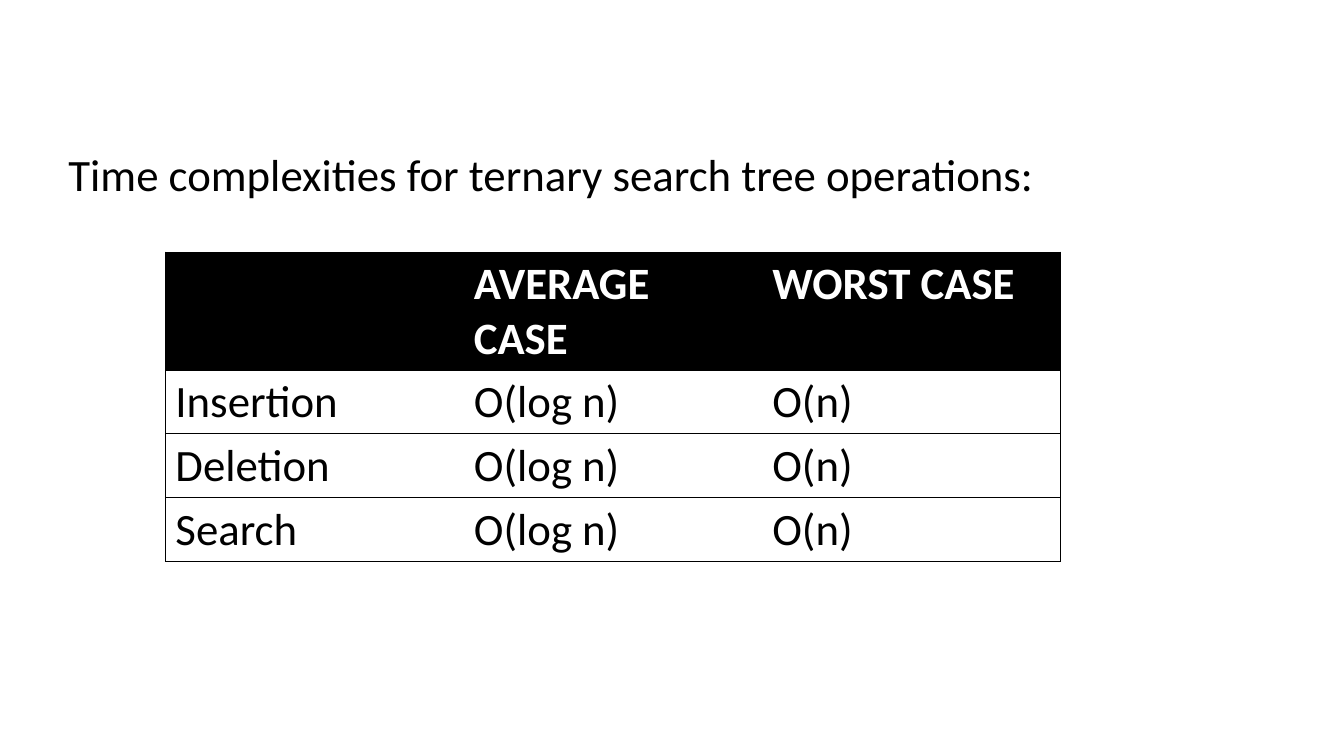
from lxml import etree
from pptx import Presentation
from pptx.dml.color import RGBColor
from pptx.enum.text import MSO_AUTO_SIZE
from pptx.oxml.ns import qn
from pptx.util import Inches, Pt

GROW = MSO_AUTO_SIZE.SHAPE_TO_FIT_TEXT
COLORS = {"ink": "000000", "paper": "FFFFFF"}
FONT = {"name": "Calibri", "size": Pt(32)}
LINE = Pt(0.5)
COL_WIDTH = 2.96
HEAD_HEIGHT, ROW_HEIGHT = 1.17, 0.63
ROWS = [
    ("", "AVERAGE CASE", "WORST CASE"),
    ("Insertion", "O(log n)", "O(n)"),
    ("Deletion", "O(log n)", "O(n)"),
    ("Search", "O(log n)", "O(n)"),
]


def rgb(name):
    return RGBColor.from_string(COLORS[name])


def write(frame, text, color, bold=False):
    run = frame.paragraphs[0].add_run()
    run.text = text
    for key, value in {**FONT, "bold": bold}.items():
        setattr(run.font, key, value)
    run.font.color.rgb = rgb(color)


def add_text(slide, text, left, top, width, height):
    box = slide.shapes.add_textbox(
        Inches(left), Inches(top), Inches(width), Inches(height))
    box.text_frame.word_wrap = True
    box.text_frame.auto_size = GROW
    write(box.text_frame, text, "ink")


def set_edges(cell, shown):
    """Draw the sides named in shown and clear the others."""
    props = cell._tc.get_or_add_tcPr()
    for side in "LRTB":
        line = etree.SubElement(props, qn(f"a:ln{side}"), w=str(LINE))
        if side in shown:
            fill = etree.SubElement(line, qn("a:solidFill"))
            etree.SubElement(fill, qn("a:srgbClr"), val=COLORS["ink"])
        else:
            etree.SubElement(line, qn("a:noFill"))


def fill_cell(cell, text, head, edges):
    set_edges(cell, edges)
    if head:
        cell.fill.solid()
        cell.fill.fore_color.rgb = rgb("ink")
    else:
        cell.fill.background()
    if text:
        write(cell.text_frame, text, "paper" if head else "ink", head)


def add_grid(slide, rows, left, top):
    count = len(rows[0])
    height = HEAD_HEIGHT + ROW_HEIGHT * (len(rows) - 1)
    table = slide.shapes.add_table(
        len(rows), count, Inches(left), Inches(top),
        Inches(COL_WIDTH * count), Inches(height)).table
    table.horz_banding = False
    for col in table.columns:
        col.width = Inches(COL_WIDTH)
    for r, texts in enumerate(rows):
        table.rows[r].height = Inches(ROW_HEIGHT if r else HEAD_HEIGHT)
        for c, text in enumerate(texts):
            edges = "TB" + "L" * (c == 0) + "R" * (c == count - 1)
            fill_cell(table.cell(r, c), text, r == 0, edges)


def main():
    deck = Presentation()
    deck.slide_width, deck.slide_height = Inches(13.33), Inches(7.5)
    slide = deck.slides.add_slide(deck.slide_layouts[6])
    add_text(slide, "Time complexities for ternary search tree operations:",
             0.58, 1.41, 11.01, 0.64)
    add_grid(slide, ROWS, 1.64, 2.5)
    deck.save("out.pptx")


if __name__ == "__main__":
    main()
